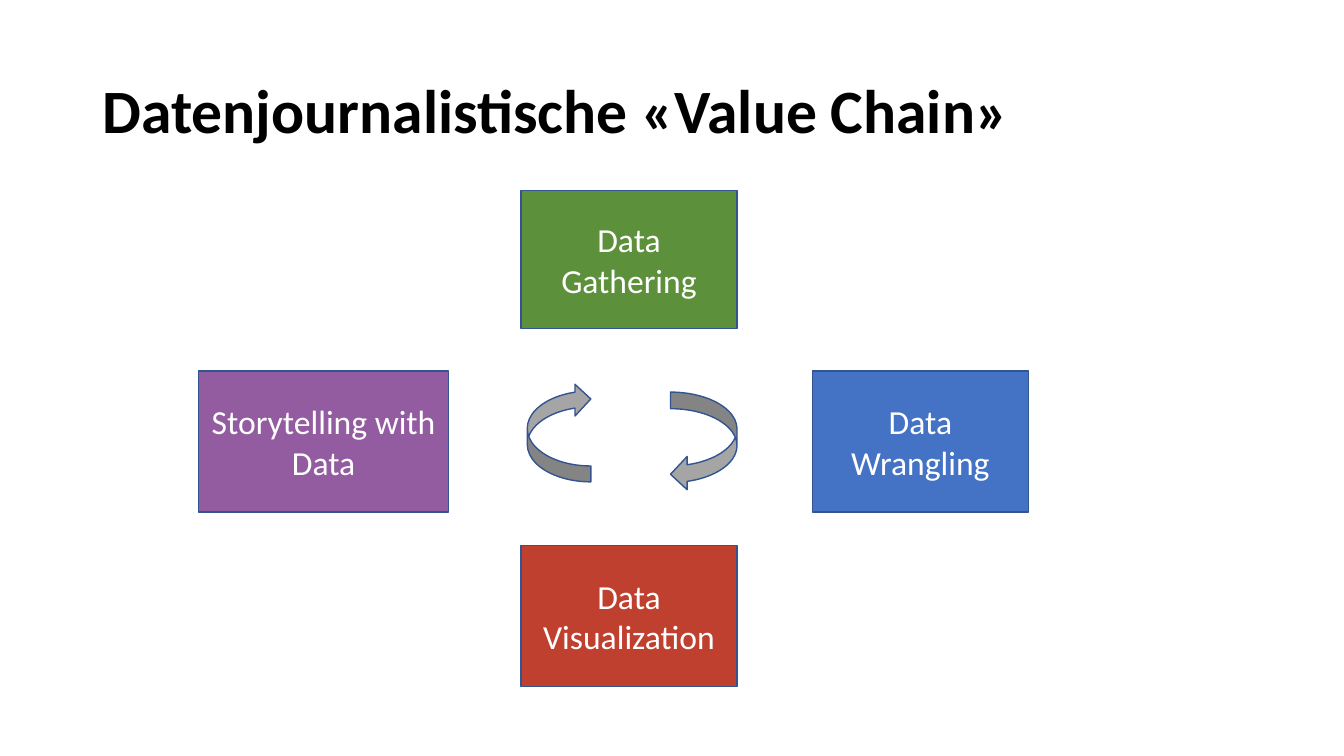
import pptx
import pptx.dml.color
import pptx.enum.shapes
import pptx.enum.text
import pptx.util

COLORS = {
    "ink": "000000",
    "paper": "FFFFFF",
    "outline": "325491",
    "arrow": "A5A5A5",
    "gathering": "5D903B",
    "wrangling": "4472C4",
    "visualization": "C04030",
    "storytelling": "935CA0",
}
SHAPES = pptx.enum.shapes.MSO_SHAPE


def color(name):
    return pptx.dml.color.RGBColor.from_string(COLORS[name])


class ValueChainPage:
    font_name = "Calibri"
    grid_lines = 100

    def __init__(self, deck):
        self.column = deck.slide_width / self.grid_lines
        self.row = deck.slide_height / self.grid_lines
        self.page = deck.slides.add_slide(deck.slide_layouts[6])

    def place(self, left, top, width, height):
        return (
            round(left * self.column),
            round(top * self.row),
            round(width * self.column),
            round(height * self.row),
        )

    def label(self, shape, text, size, ink):
        frame = shape.text_frame
        frame.word_wrap = True
        frame.vertical_anchor = pptx.enum.text.MSO_ANCHOR.MIDDLE
        para = frame.paragraphs[0]
        para.text = text
        para.font.name = self.font_name
        para.font.size = pptx.util.Pt(size)
        para.font.color.rgb = color(ink)
        return para

    def title(self, text, *area):
        box = self.page.shapes.add_textbox(*self.place(*area))
        para = self.label(box, text, 44, "ink")
        para.font.bold = True
        para.line_spacing = 0.9

    def shape(self, kind, fill, area):
        shape = self.page.shapes.add_shape(kind, *self.place(*area))
        shape.shadow.inherit = False
        shape.fill.solid()
        shape.fill.fore_color.rgb = color(fill)
        shape.line.color.rgb = color("outline")
        shape.line.width = pptx.util.Pt(1)
        return shape

    def step(self, text, fill, *area):
        box = self.shape(SHAPES.RECTANGLE, fill, area)
        para = self.label(box, text, 24, "paper")
        para.alignment = pptx.enum.text.PP_ALIGN.CENTER

    def arrow(self, rotation, *area):
        arrow = self.shape(SHAPES.CURVED_LEFT_ARROW, "arrow", area)
        arrow.rotation = rotation


def main():
    deck = pptx.Presentation()
    deck.slide_width = pptx.util.Inches(13.33)
    deck.slide_height = pptx.util.Inches(7.5)

    chain = ValueChainPage(deck)
    chain.title("Datenjournalistische «Value Chain»", 6.9, 5.33, 86.27, 19.33)

    center, middle = 38.78, 49.07
    width, height = 16.05, 18.67
    chain.step("Data Wrangling", "wrangling", 60.46, middle, width, height)
    chain.step("Data Visualization", "visualization", center, 72.13, width, height)
    chain.step("Storytelling with Data", "storytelling", 14.78, middle, 18.6, height)
    chain.step("Data Gathering", "gathering", center, 25.2, width, 18.27)

    chain.arrow(0, 49.89, 51.87, 4.95, 13.07)
    chain.arrow(180, 39.23, 50.67, 4.73, 13.07)

    deck.save("out.pptx")


if __name__ == "__main__":
    main()
